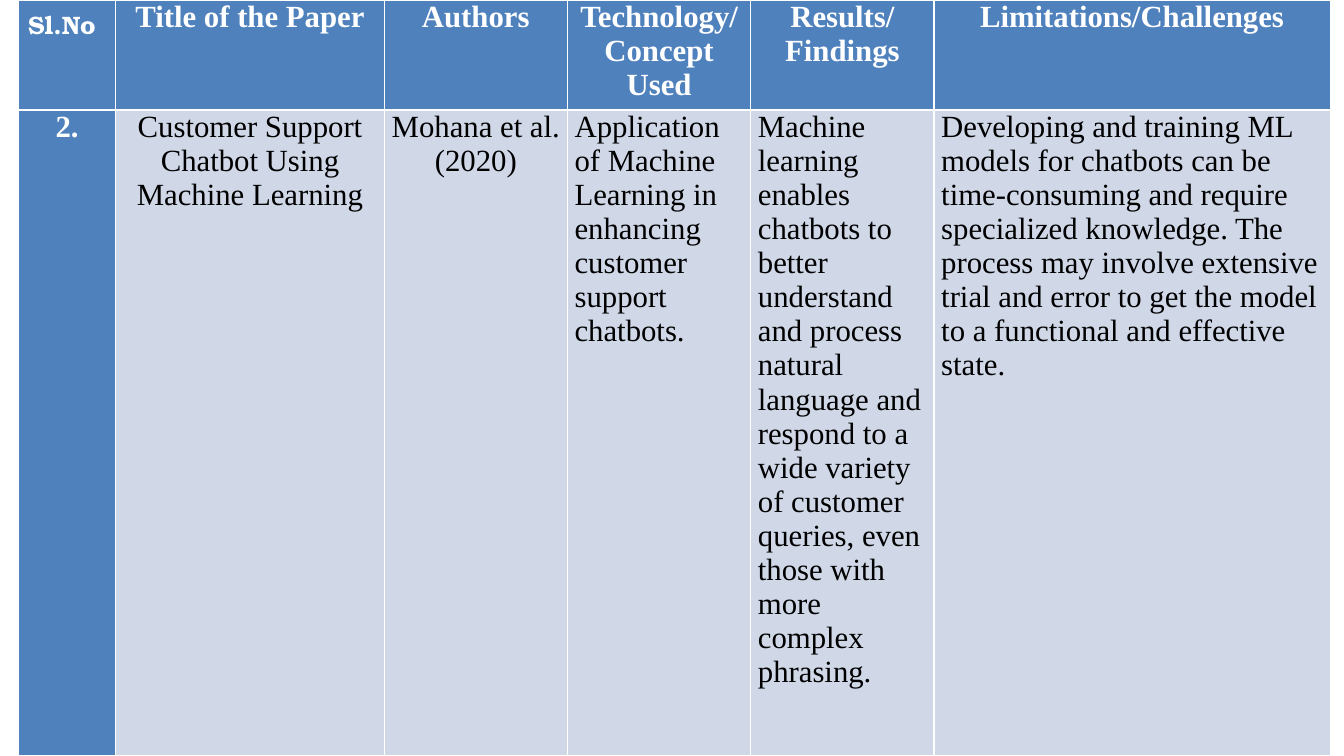
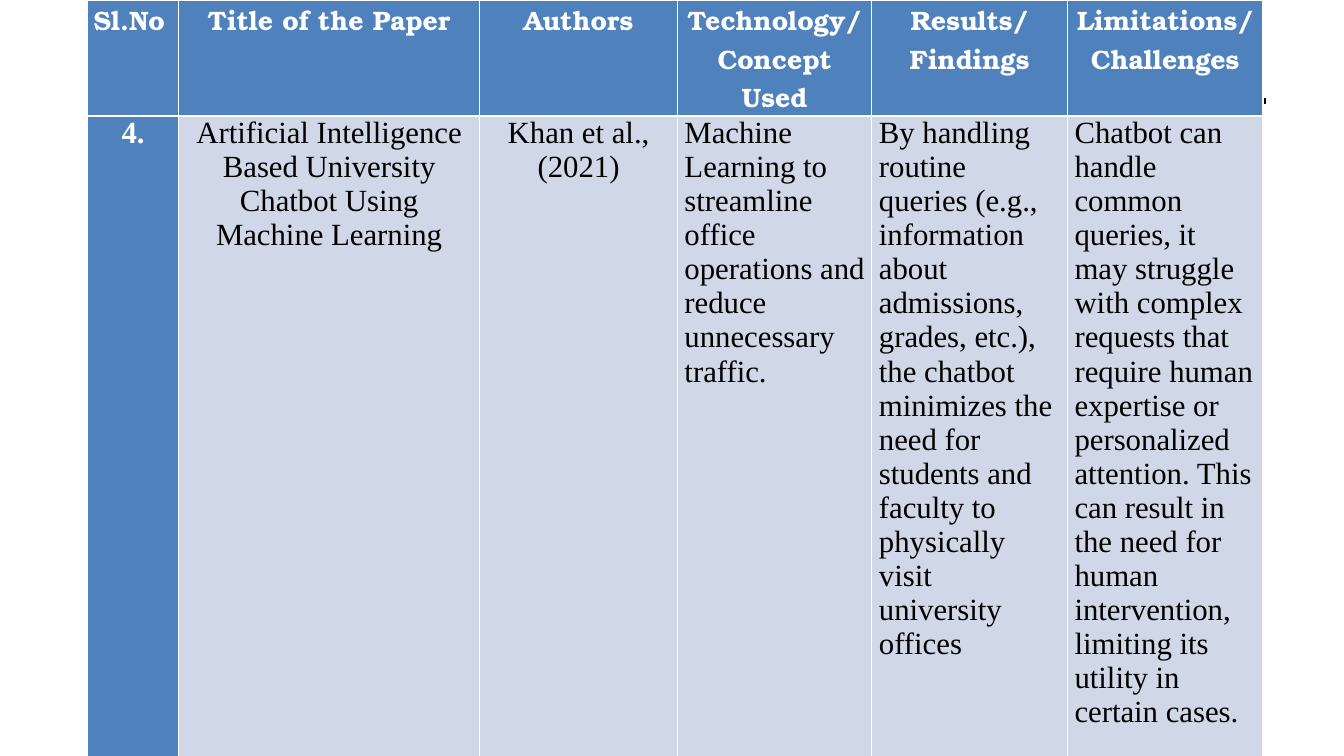
from dataclasses import dataclass

from lxml.etree import SubElement
from pptx import Presentation
from pptx.dml.color import RGBColor
from pptx.enum.shapes import MSO_CONNECTOR
from pptx.enum.text import PP_ALIGN
from pptx.oxml.ns import qn
from pptx.util import Cm, Pt

COLORS = {"accent": "4F81BD", "band": "D0D8E8", "light": "FFFFFF", "dark": "000000"}
DISPLAY_FONT = "TeX Gyre Bonum"
BODY_FONT = "Times New Roman"
BODY_SIZE = 22
CENTERED_COLUMNS = 3
HEADERS = [
    "Sl.No",
    "Title of the Paper",
    "Authors",
    "Technology/Concept Used",
    "Results/Findings",
    "Limitations/Challenges",
]


@dataclass
class CellStyle:
    font: str = BODY_FONT
    size: float = BODY_SIZE
    bold: bool = False
    color: str = "dark"
    fill: str = "band"
    centered: bool = False
    side_margin: float = 0.18
    top_margin: float = 0


def rgb(name):
    return RGBColor.from_string(COLORS[name])


def add_rule(slide):
    rule = slide.shapes.add_connector(
        MSO_CONNECTOR.STRAIGHT, Cm(2.26), Cm(2.54), Cm(31.9), Cm(2.54)
    )
    rule.line.color.rgb = rgb("dark")
    rule.line.width = Pt(4.5)
    SubElement(rule._element.spPr, qn("a:effectLst"))


def fill_cell(cell, text, style):
    cell.fill.solid()
    cell.fill.fore_color.rgb = rgb(style.fill)
    cell.margin_left = cell.margin_right = Cm(style.side_margin)
    cell.margin_top = cell.margin_bottom = Cm(style.top_margin)
    cell.text = text
    paragraph = cell.text_frame.paragraphs[0]
    paragraph.alignment = PP_ALIGN.CENTER if style.centered else PP_ALIGN.LEFT
    font = paragraph.font
    font.name = style.font
    font.size = Pt(style.size)
    font.bold = style.bold
    font.color.rgb = rgb(style.color)


def body_style(column):
    if column == 0:
        return CellStyle(bold=True, color="light", fill="accent", centered=True)
    return CellStyle(centered=column < CENTERED_COLUMNS)


def header_style(column, **overrides):
    return CellStyle(
        bold=True, color="light", fill="accent", centered=column > 0, **overrides
    )


def add_paper_table(slide, left, widths, heights, header_styles, paper):
    frame = slide.shapes.add_table(
        2, len(HEADERS), Cm(left), Cm(0), Cm(sum(widths)), Cm(sum(heights))
    )
    table = frame.table
    table.first_col = True
    for row, height in zip(table.rows, heights):
        row.height = Cm(height)
    for column, width in enumerate(widths):
        table.columns[column].width = Cm(width)
        fill_cell(table.cell(0, column), HEADERS[column], header_styles[column])
        fill_cell(table.cell(1, column), paper[column], body_style(column))


def add_paper_slide(presentation, **table_settings):
    slide = presentation.slides.add_slide(presentation.slide_layouts[6])
    add_rule(slide)
    add_paper_table(slide, **table_settings)


def main():
    presentation = Presentation()
    presentation.slide_width = Cm(33.87)
    presentation.slide_height = Cm(19.05)
    columns = range(len(HEADERS))

    number_header = header_style(
        0, font=DISPLAY_FONT, size=18, side_margin=0.25, top_margin=0.13
    )
    add_paper_slide(
        presentation,
        left=0.46,
        widths=[2.46, 6.76, 4.62, 4.62, 4.62, 9.98],
        heights=[2.77, 16.28],
        header_styles=[number_header] + [header_style(column) for column in columns[1:]],
        paper=[
            "2.",
            "Customer Support Chatbot Using Machine Learning",
            "Mohana et al. (2020)",
            "Application of Machine Learning in enhancing customer support chatbots.",
            "Machine learning enables chatbots to better understand and process natural "
            "language and respond to a wide variety of customer queries, even those with "
            "more complex phrasing.",
            "Developing and training ML models for chatbots can be time-consuming and "
            "require specialized knowledge. The process may involve extensive trial and "
            "error to get the model to a functional and effective state.",
        ],
    )
    add_paper_slide(
        presentation,
        left=2.21,
        widths=[2.29, 7.59, 4.98, 4.9, 4.93, 4.93],
        heights=[2.9, 16.28],
        header_styles=[
            header_style(column, font=DISPLAY_FONT, size=19, side_margin=0.15)
            for column in columns
        ],
        paper=[
            "4.",
            "Artificial Intelligence Based University Chatbot Using Machine Learning",
            "Khan et al., (2021)",
            "Machine Learning to streamline office operations and reduce unnecessary "
            "traffic.",
            "By handling routine queries (e.g., information about admissions, grades, "
            "etc.), the chatbot minimizes the need for students and faculty to physically "
            "visit university offices",
            "Chatbot can handle common queries, it may struggle with complex requests "
            "that require human expertise or personalized attention. This can result in "
            "the need for human intervention, limiting its utility in certain cases.",
        ],
    )
    presentation.save("out.pptx")


if __name__ == "__main__":
    main()
